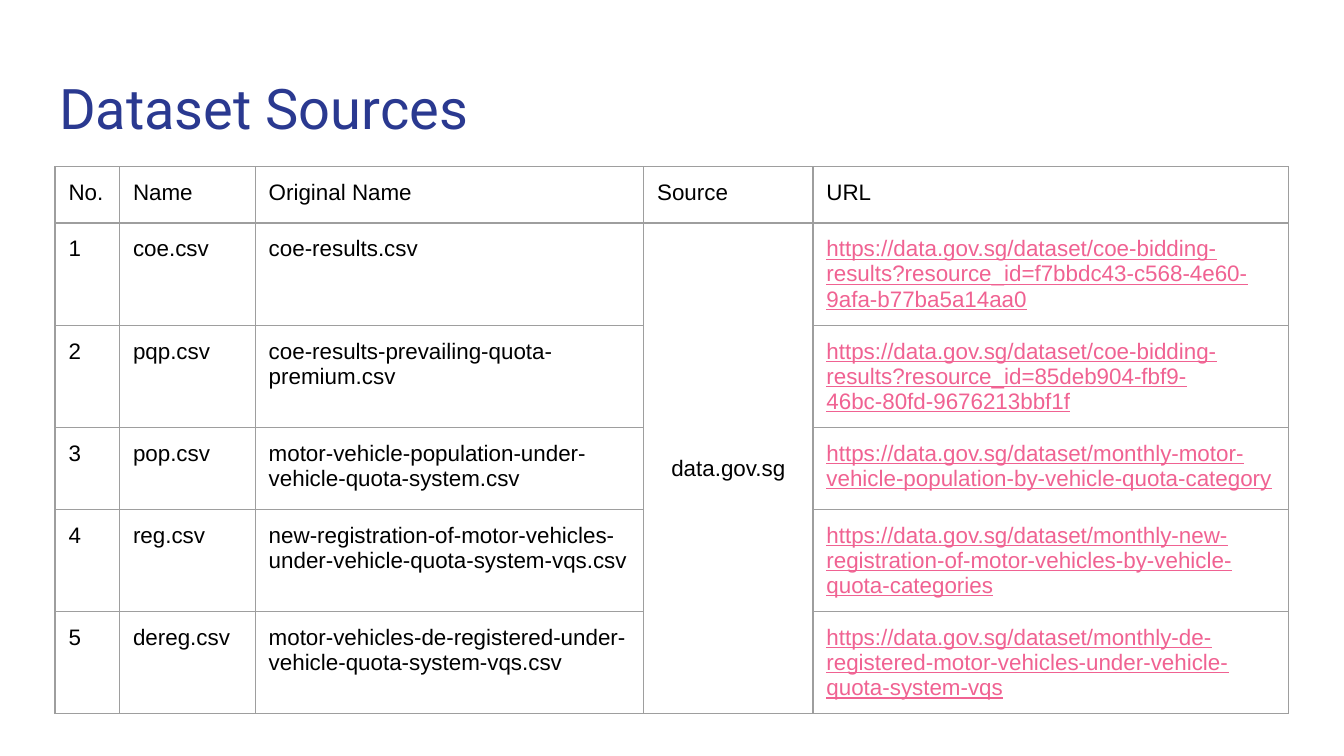
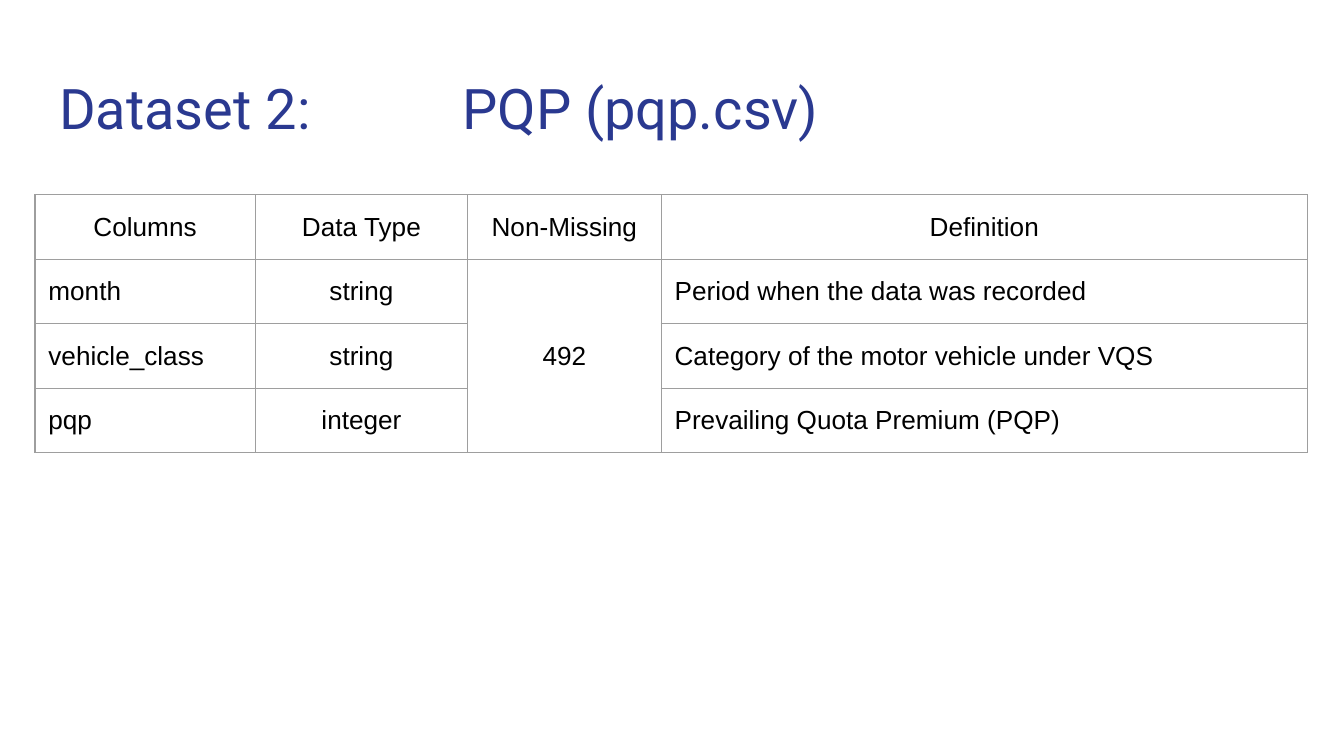
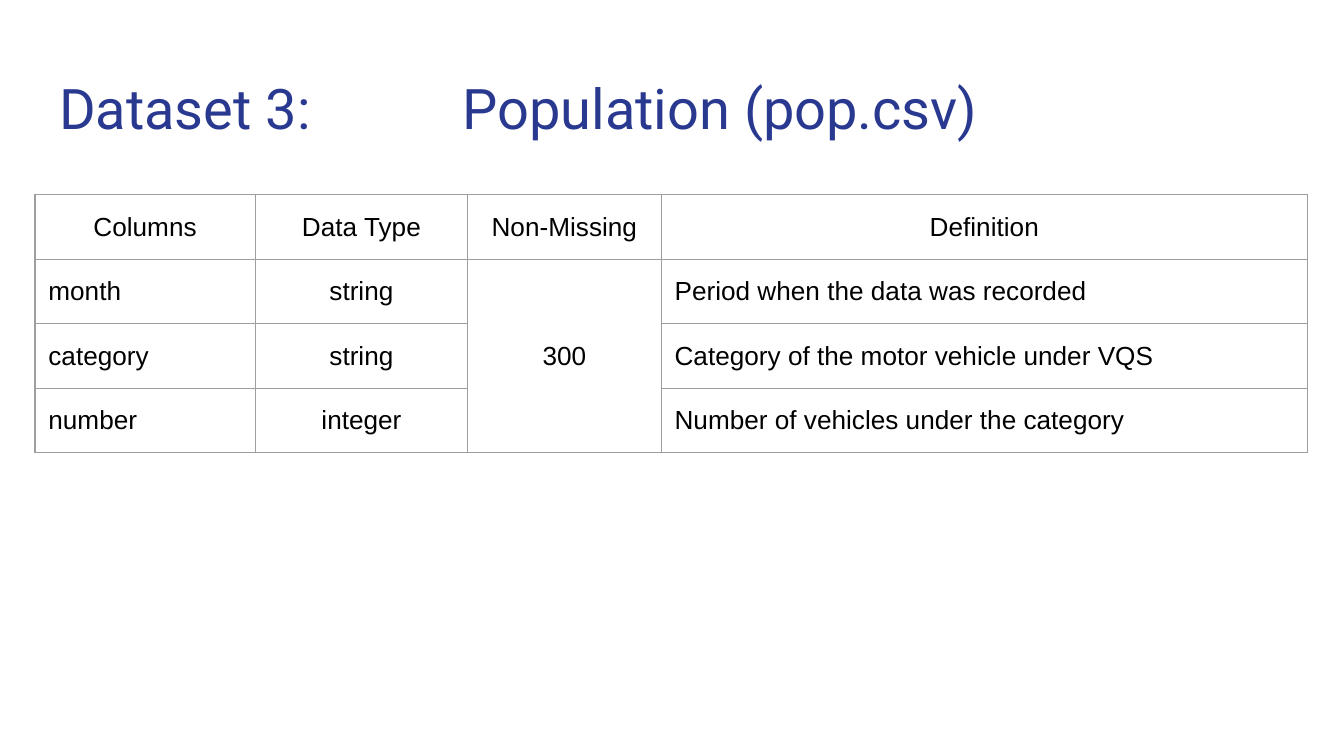
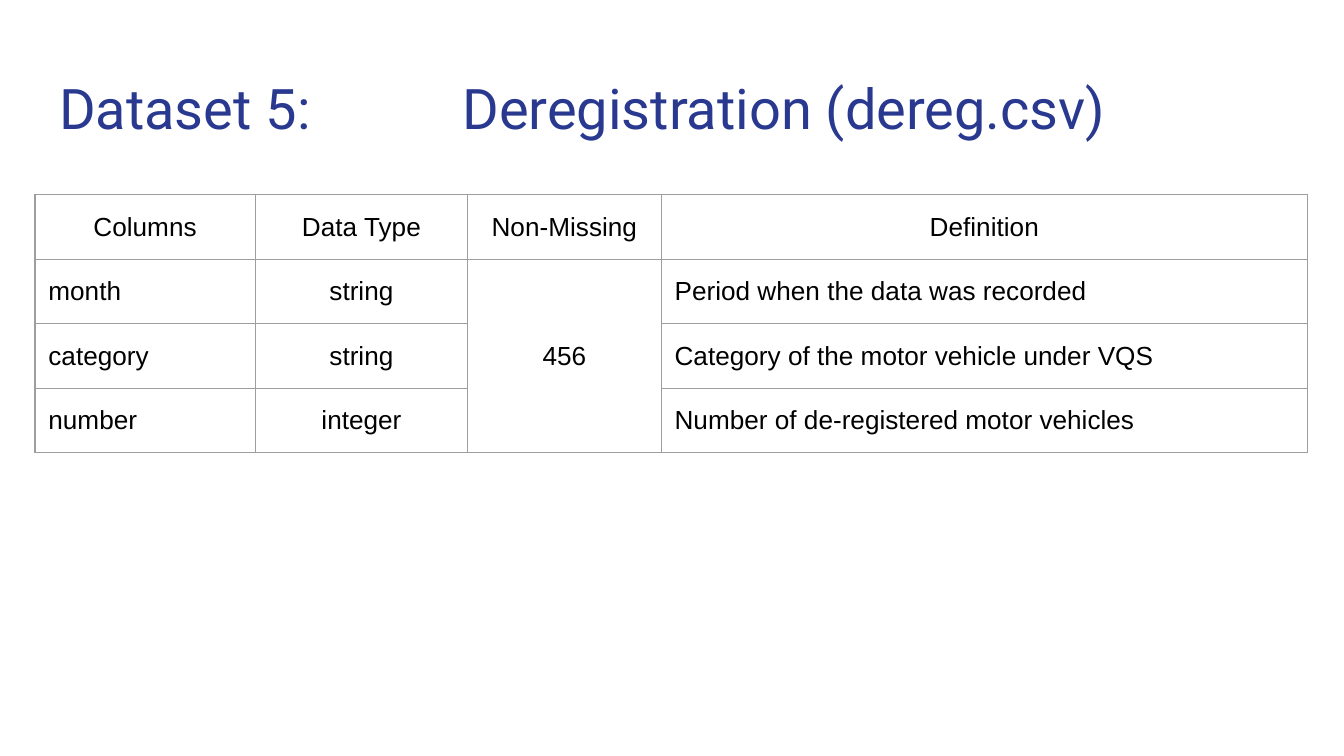
import pptx
import pptx.util
import pptx.dml.color
import pptx.enum.text
import pptx.oxml
import pptx.oxml.ns

Inches = pptx.util.Inches
Pt = pptx.util.Pt
ALIGN = pptx.enum.text.PP_ALIGN
ANCHOR = pptx.enum.text.MSO_ANCHOR

NAVY, PINK, BLACK, GREY = "2A3990", "F06292", "000000", "9E9E9E"
PAD = 0.1
SITE = "data.gov.sg"
BASE = f"https://{SITE}/dataset/"

FILES = [
    ("coe", "coe-results",
     "coe-bidding-results?resource_id=f7bbdc43-c568-4e60-9afa-b77ba5a14aa0"),
    ("pqp", "coe-results-prevailing-quota-premium",
     "coe-bidding-results?resource_id=85deb904-fbf9-46bc-80fd-9676213bbf1f"),
    ("pop", "motor-vehicle-population-under-vehicle-quota-system",
     "monthly-motor-vehicle-population-by-vehicle-quota-category"),
    ("reg", "new-registration-of-motor-vehicles-under-vehicle-quota-system-vqs",
     "monthly-new-registration-of-motor-vehicles-by-vehicle-quota-categories"),
    ("dereg", "motor-vehicles-de-registered-under-vehicle-quota-system-vqs",
     "monthly-de-registered-motor-vehicles-under-vehicle-quota-system-vqs"),
]
LIST = {
    "head": ["No.", "Name", "Original Name", "Source", "URL"],
    "at": (0.41, 1.24),
    "cols": [0.48, 1.01, 2.89, 1.26, 3.54],
    "rows": [0.42, 0.33] + [0.61] * 4,
    "size": 12, "anchor": ANCHOR.TOP, "span": 3, "mid": [], "links": 4,
}
FIELDS = {
    "head": ["Columns", "Data Type", "Non-Missing", "Definition"],
    "at": (0.26, 1.45),
    "cols": [1.64, 1.58, 1.44, 4.81],
    "rows": [0.48] * 4,
    "size": 14, "anchor": ANCHOR.MIDDLE, "span": 2, "mid": [1], "links": None,
}
SETS = [
    ("Dataset 2:\t\tPQP (pqp.csv)", "492", "vehicle_class", "pqp",
     "Prevailing Quota Premium (PQP)"),
    ("Dataset 3:\t\tPopulation (pop.csv)", "300", "category", "number",
     "Number of vehicles under the category"),
    ("Dataset 5:\t\tDeregistration (dereg.csv)", "456", "category", "number",
     "Number of de-registered motor vehicles"),
]


def color(code):
    return pptx.dml.color.RGBColor.from_string(code)


def write(para, text, font, size, code, line=False):
    run = para.add_run()
    run.text = text
    run.font.name = font
    run.font.size = Pt(size)
    run.font.color.rgb = color(code)
    if line:
        run.font.underline = True


def inset(box):
    box.margin_left = box.margin_right = Inches(PAD)
    box.margin_top = box.margin_bottom = Inches(PAD)


def add_title(slide, text):
    title = slide.shapes.title
    title.left, title.top = Inches(0.34), Inches(0.45)
    title.width, title.height = Inches(9.32), Inches(0.66)
    frame = title.text_frame
    frame.word_wrap = True
    frame.auto_size = pptx.enum.text.MSO_AUTO_SIZE.NONE
    frame.vertical_anchor = ANCHOR.TOP
    inset(frame)
    para = frame.paragraphs[0]
    para.alignment = ALIGN.LEFT
    if "\t" in text:
        props = para._p.get_or_add_pPr()
        stops = "".join(f'<a:tab pos="{Inches(n)}" algn="l"/>' for n in (2, 3))
        space = pptx.oxml.ns.nsdecls("a")
        props.append(pptx.oxml.parse_xml(f"<a:tabLst {space}>{stops}</a:tabLst>"))
    write(para, text, "Roboto", 30, NAVY)


def frame_cell(cell):
    cell.fill.background()
    props = cell._tc.get_or_add_tcPr()
    space = pptx.oxml.ns.nsdecls("a")
    for spot, side in enumerate("LRTB"):
        props.insert(spot, pptx.oxml.parse_xml(
            f'<a:ln{side} {space} w="{Pt(0.75)}"><a:solidFill>'
            f'<a:srgbClr val="{GREY}"/></a:solidFill></a:ln{side}>'))


def add_grid(slide, look, body):
    data = [look["head"]] + body
    cols, rows, span = look["cols"], look["rows"], look["span"]
    left, top = look["at"]
    grid = slide.shapes.add_table(
        len(rows), len(cols), Inches(left), Inches(top),
        Inches(sum(cols)), Inches(sum(rows))).table
    grid.first_row = grid.horz_banding = False
    for col, width in zip(grid.columns, cols):
        col.width = Inches(width)
    for row, height in zip(grid.rows, rows):
        row.height = Inches(height)
    grid.cell(1, span).merge(grid.cell(len(rows) - 1, span))
    for r, line in enumerate(data):
        for c, text in enumerate(line):
            cell = grid.cell(r, c)
            frame_cell(cell)
            inset(cell)
            if text is None:
                continue
            joint = r > 0 and c == span
            cell.vertical_anchor = ANCHOR.MIDDLE if joint else look["anchor"]
            para = cell.text_frame.paragraphs[0]
            top_mid = r == 0 and look["anchor"] == ANCHOR.MIDDLE
            if joint or top_mid or c in look["mid"]:
                para.alignment = ALIGN.CENTER
            link = r > 0 and c == look["links"]
            write(para, text, "Arial", look["size"], PINK if link else BLACK, link)


def main():
    deck = pptx.Presentation()
    deck.slide_width = Inches(10)
    deck.slide_height = deck.slide_width * 9 // 16
    files = [[str(n), f"{name}.csv", f"{source}.csv", SITE if n == 1 else None, BASE + page]
             for n, (name, source, page) in enumerate(FILES, 1)]
    pages = [("Dataset Sources", LIST, files)]
    for title, count, group, value, note in SETS:
        pages.append((title, FIELDS, [
            ["month", "string", count, "Period when the data was recorded"],
            [group, "string", None, "Category of the motor vehicle under VQS"],
            [value, "integer", None, note],
        ]))
    for title, look, body in pages:
        slide = deck.slides.add_slide(deck.slide_layouts[5])
        add_title(slide, title)
        add_grid(slide, look, body)
    deck.save("out.pptx")


if __name__ == "__main__":
    main()
